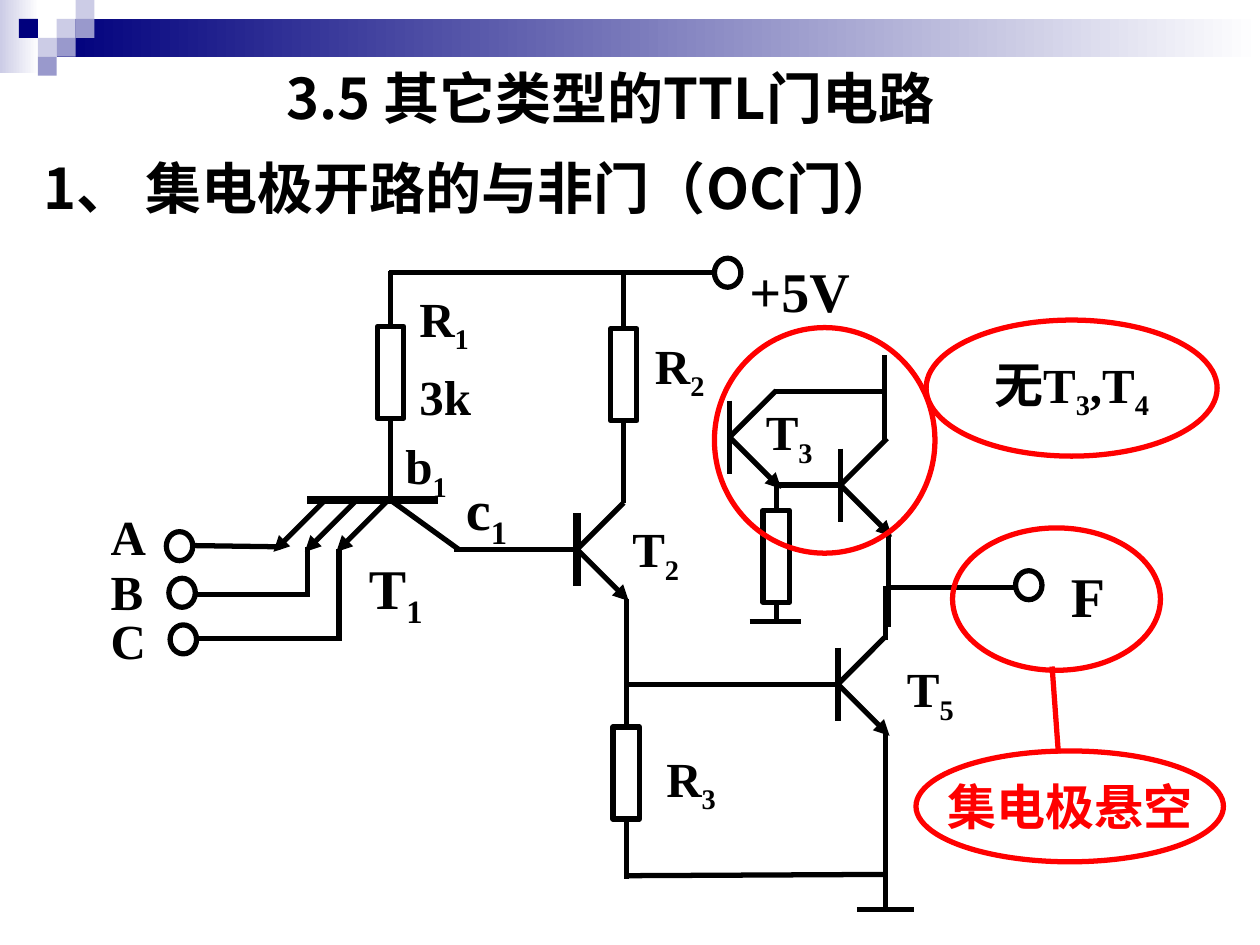
from dataclasses import dataclass

from lxml import etree
from pptx import Presentation
from pptx.dml.color import RGBColor
from pptx.enum import shapes, text
from pptx.oxml.ns import qn
from pptx.util import Inches, Pt

COLORS = {"ink": "000000", "mark": "FF0000", "navy": "00007D",
          "pale": "CCCCE6", "mid": "9999CC", "white": "FFFFFF"}
CJK, LATIN = "Noto Sans CJK SC", "Times New Roman"
RECT, OVAL = shapes.MSO_SHAPE.RECTANGLE, shapes.MSO_SHAPE.OVAL
RESISTOR_W, RESISTOR_H = 0.21, 0.73


@dataclass
class Label:
    words: str  # "_" makes the next character a subscript
    x: float
    y: float
    w: float = 1.1
    size: int = 28


@dataclass
class Resistor:
    x: float  # centre line
    y: float  # top of the body
    start: float  # upper end of the lead
    end: float  # lower end of the lead


def rgb(name):
    return RGBColor.from_string(COLORS[name])


def write(frame, words: str, size: int, font: str = LATIN, color: str = "ink",
          align=text.PP_ALIGN.LEFT, anchor=text.MSO_ANCHOR.TOP, wrap: bool = True):
    layout = {"word_wrap": wrap, "vertical_anchor": anchor,
              "margin_left": Inches(0.1), "margin_right": Inches(0.1),
              "margin_top": Inches(0.05), "margin_bottom": Inches(0.05)}
    for key, value in layout.items():
        setattr(frame, key, value)
    paragraph = frame.paragraphs[0]
    paragraph.alignment = align
    paragraph.space_before = Pt(0)
    first, *rest = words.split("_")
    pieces = [(first, False)]
    for part in rest:
        pieces += [(part[0], True), (part[1:], False)]
    for piece, lowered in pieces:
        if not piece:
            continue
        run = paragraph.add_run()
        run.text = piece
        for key, value in {"size": Pt(size), "bold": True, "name": font}.items():
            setattr(run.font, key, value)
        run.font.color.rgb = rgb(color)
        properties = run.font._element
        etree.SubElement(properties, qn("a:ea")).set("typeface", CJK)
        if lowered:
            properties.set("baseline", "-25000")


def add_label(slide, label: Label, height: float = 0.64, font: str = LATIN):
    box = slide.shapes.add_textbox(*map(Inches, (label.x, label.y, label.w, height)))
    write(box.text_frame, label.words, label.size, font)


def add_outline(slide, kind, x: float, y: float, w: float, h: float, color: str = "ink"):
    shape = slide.shapes.add_shape(kind, *map(Inches, (x, y, w, h)))
    shape.shadow.inherit = False
    shape.fill.background()
    shape.line.color.rgb = rgb(color)
    shape.line.width = Pt(3)
    return shape


def add_block(slide, x: float, y: float, w: float, h: float, color: str, fade_to: str = ""):
    block = slide.shapes.add_shape(RECT, *map(Inches, (x, y, w, h)))
    block.shadow.inherit = False
    block.line.fill.background()
    if fade_to:
        block.fill.gradient()
        block.fill.gradient_angle = 0
        for stop, name in zip(block.fill.gradient_stops, (color, fade_to)):
            stop.color.rgb = rgb(name)
    else:
        block.fill.solid()
        block.fill.fore_color.rgb = rgb(color)


def add_wire(slide, x1: float, y1: float, x2: float, y2: float,
             width: float = 3, arrow: bool = False, color: str = "ink"):
    wire = slide.shapes.add_connector(shapes.MSO_CONNECTOR.STRAIGHT,
                                      *map(Inches, (x1, y1, x2, y2)))
    wire.line.color.rgb = rgb(color)
    wire.line.width = Pt(width)
    if arrow:
        etree.SubElement(wire.line._get_or_add_ln(), qn("a:tailEnd")).set("type", "triangle")
    etree.SubElement(wire._element.spPr, qn("a:effectLst"))
    return wire


def add_resistor(slide, part: Resistor):
    bottom = part.y + RESISTOR_H
    body = add_outline(slide, RECT, part.x - RESISTOR_W / 2, part.y, RESISTOR_W, RESISTOR_H)
    add_wire(slide, part.x, part.start, part.x, part.y).end_connect(body, 0)
    add_wire(slide, part.x, bottom, part.x, part.end).begin_connect(body, 2)


def add_transistor(slide, x: float, y: float, bar: float = 3):
    add_wire(slide, x, y - 0.29, x, y + 0.29, bar)
    add_wire(slide, x, y, x + 0.41, y + 0.41, arrow=True)
    add_wire(slide, x, y, x + 0.37, y - 0.37)


def add_header(slide):
    add_block(slide, 0, 0, 0.31, 0.58, "pale", "white")
    add_block(slide, 0.45, 0.15, 9.55, 0.3, "navy", "white")
    for column, row, color in [(3, 1, "pale"), (4, 0, "pale"), (4, 1, "mid"), (2, 2, "pale"),
                               (1, 1, "navy"), (3, 2, "mid"), (2, 3, "mid")]:
        add_block(slide, column * 0.15, row * 0.15, 0.15, 0.15, color)


def add_circuit(slide):
    # Multi-emitter input transistor T1
    add_wire(slide, 2.44, 3.97, 3.48, 3.97, 4.5)
    for x in (3.08, 2.83, 2.58):
        add_wire(slide, x, 3.97, x - 0.41, 4.38, arrow=True)

    # Transistors T2, T5 and the crossed-out pair T3, T4
    add_transistor(slide, 4.58, 4.36, 4.5)
    for x, y in [(6.65, 5.43), (5.79, 3.47), (6.67, 3.85)]:
        add_transistor(slide, x, y)

    # Resistors with their leads
    for part in [Resistor(3.1, 2.59, 2.15, 3.97), Resistor(4.95, 2.61, 2.15, 3.99),
                 Resistor(4.97, 5.77, 4.75, 6.98), Resistor(6.16, 4.05, 3.82, 4.94)]:
        add_resistor(slide, part)

    # Wires
    for ends in [
        (3.1, 3.97, 3.64, 4.36), (3.6, 4.36, 4.58, 4.36),  # T1 collector to T2
        (3.09, 2.16, 5.68, 2.16),  # supply
        (6.63, 5.43, 4.96, 5.43), (4.97, 6.95, 7.03, 6.94),  # T5 base and ground rail
        (7.03, 5.82, 7.03, 7.23), (6.8, 7.22, 7.25, 7.22),  # T5 emitter to ground
        (7.03, 4.66, 8.07, 4.66), (7.03, 4.65, 7.03, 5.08),  # output
        (2.23, 4.34, 1.53, 4.33),  # input A
        (2.44, 4.34, 2.44, 4.74), (2.44, 4.72, 1.55, 4.72),  # input B
        (2.69, 4.36, 2.69, 5.09), (2.71, 5.07, 1.57, 5.07),  # input C
        (6.15, 3.85, 6.67, 3.85), (6.15, 3.11, 7.02, 3.11),  # T3 to T4
        (7.02, 3.51, 7.02, 2.82), (7.05, 4.24, 7.05, 4.98),  # T4 collector and emitter
        (5.95, 4.93, 6.36, 4.93),  # ground under T3
    ]:
        add_wire(slide, *ends)

    # Terminals
    for x, y in [(5.67, 2.05), (8.06, 4.53), (1.32, 4.22), (1.34, 4.59), (1.35, 4.96)]:
        add_outline(slide, OVAL, x, y, 0.21, 0.23)

    # Labels
    for label in [
        Label("+5V", 5.85, 1.99, 1.37, 32), Label("F", 8.4, 4.41, 0.81, 32),
        Label("R_1", 3.23, 2.24), Label("3k", 3.23, 2.86), Label("R_2", 5.1, 2.61),
        Label("R_3", 5.19, 5.89), Label("T_1", 2.83, 4.34, 0.79, 32),
        Label("T_2", 4.92, 4.07, 0.67), Label("T_3", 5.98, 3.14),
        Label("T_5", 7.1, 5.18, 0.73), Label("b_1", 3.12, 3.41, 0.87),
        Label("c_1", 3.6, 3.72, 1.1, 32),
        Label("A", 0.78, 3.97, 0.77), Label("B", 0.78, 4.41, 0.77), Label("C", 0.78, 4.8, 0.77),
    ]:
        add_label(slide, label)


def add_remarks(slide):
    add_outline(slide, OVAL, 7.56, 4.19, 1.65, 1.13, "mark")
    add_outline(slide, OVAL, 5.67, 2.6, 1.75, 1.79, "mark")
    add_wire(slide, 8.35, 5.29, 8.4, 5.98, color="mark")
    for words, color, place in [("集电极悬空", "mark", (7.27, 5.96, 2.44, 0.88)),
                                ("无T_3,T_4", "ink", (7.35, 2.54, 2.31, 1.08))]:
        remark = add_outline(slide, OVAL, *place, "mark")
        write(remark.text_frame, words, 28, color=color, align=text.PP_ALIGN.CENTER,
              anchor=text.MSO_ANCHOR.MIDDLE, wrap=False)


def main():
    deck = Presentation()
    deck.slide_width, deck.slide_height = Inches(10), Inches(7.5)
    slide = deck.slides.add_slide(deck.slide_layouts[5])
    add_header(slide)

    # Headings
    title = slide.shapes.title
    place = {"left": 2.17, "top": 0.45, "width": 6.73, "height": 0.64}
    for key, value in place.items():
        setattr(title, key, Inches(value))
    write(title.text_frame, "3.5 其它类型的TTL门电路", 32, CJK)
    add_label(slide, Label("1、 集电极开路的与非门（OC门）", 0.25, 1.17, 8, 32), font=CJK)

    add_circuit(slide)
    add_remarks(slide)
    deck.save("out.pptx")


if __name__ == "__main__":
    main()
